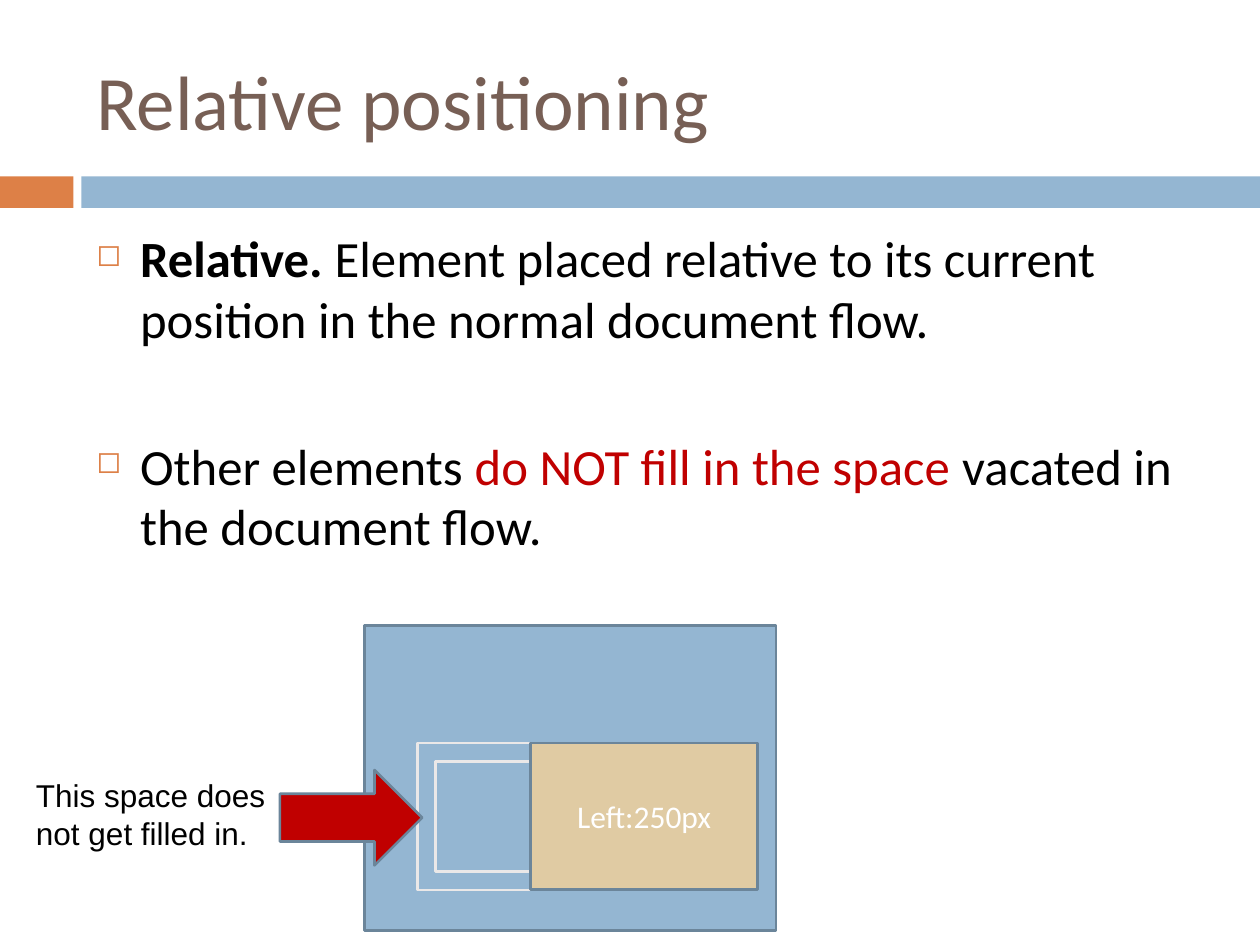
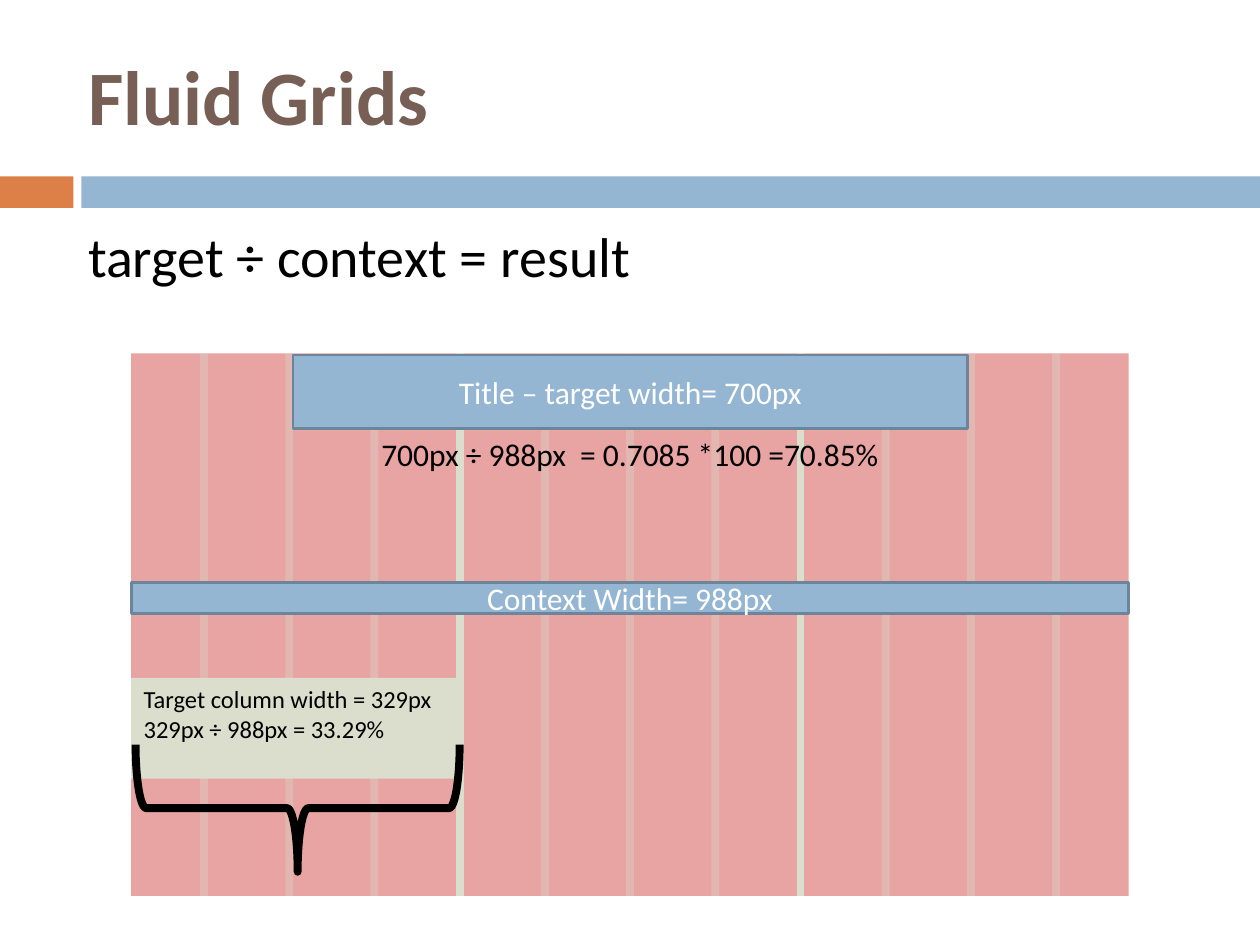
from pptx import Presentation
from pptx.dml.color import RGBColor
from pptx.enum.shapes import MSO_CONNECTOR, MSO_SHAPE
from pptx.enum.text import MSO_ANCHOR, PP_ALIGN
from pptx.oxml.ns import qn
from pptx.util import Pt
from lxml.etree import SubElement

COLORS = {
    "orange": "DD8047",
    "blue": "94B6D2",
    "outline": "6B859A",
    "title": "775F55",
    "text": "000000",
    "white": "FFFFFF",
    "red": "C00000",
    "tan": "E0CBA3",
    "ghost": "EAE8E8",
    "sage": "DBDDCD",
}
GRID_LEFT, GRID_TOP, GRID_WIDTH, GRID_HEIGHT = 75, 202, 570, 310
GUTTER_START, GUTTER_STEP, GUTTER_COUNT = 116.6, 48.69, 11
THIRD_GUTTERS = (3, 7)


def color(name):
    return RGBColor.from_string(COLORS[name])


def set_alpha(element, percent):
    for color_element in element.iter(qn("a:srgbClr")):
        SubElement(color_element, qn("a:alpha"), val=str(percent * 1000))


def set_font(font, size, name="text", face="Calibri", bold=False):
    font.name = face
    font.size = Pt(size)
    font.bold = bold
    font.color.rgb = color(name)


def write_lines(shape, lines, size, name="text", align=PP_ALIGN.LEFT,
                anchor=MSO_ANCHOR.TOP, **style):
    frame = shape.text_frame
    frame.word_wrap = True
    frame.vertical_anchor = anchor
    for index, line in enumerate(lines):
        paragraph = frame.paragraphs[0] if index == 0 else frame.add_paragraph()
        paragraph.text = line
        paragraph.alignment = align
        set_font(paragraph.font, size, name, **style)


def add_text(slide, box, lines, size, name="text", **style):
    shape = slide.shapes.add_textbox(*map(Pt, box))
    write_lines(shape, lines, size, name, **style)


def add_block(slide, kind, box, fill=None, line=None, width=1.5):
    shape = slide.shapes.add_shape(kind, *map(Pt, box))
    shape.shadow.inherit = False
    if fill:
        shape.fill.solid()
        shape.fill.fore_color.rgb = color(fill)
    else:
        shape.fill.background()
    if line:
        shape.line.color.rgb = color(line)
        shape.line.width = Pt(width)
    else:
        shape.line.fill.background()
    return shape


def add_label_block(slide, box, fill, label):
    shape = add_block(slide, MSO_SHAPE.RECTANGLE, box, fill, "outline")
    write_lines(shape, [label], 18, "white", PP_ALIGN.CENTER, MSO_ANCHOR.MIDDLE)


def add_gutter(slide, x, solid):
    connector = slide.shapes.add_connector(
        MSO_CONNECTOR.STRAIGHT, Pt(x), Pt(GRID_TOP), Pt(x), Pt(GRID_TOP + GRID_HEIGHT))
    connector.line.color.rgb = color("sage")
    connector.line.width = Pt(4.5)
    properties = connector._element.spPr
    SubElement(properties, qn("a:effectLst"))
    if not solid:
        set_alpha(properties, 35)


def add_bullets(slide, box, bullets, size, gap):
    frame = slide.shapes.add_textbox(*map(Pt, box)).text_frame
    frame.word_wrap = True
    for index, runs in enumerate(bullets):
        paragraph = frame.paragraphs[0] if index == 0 else frame.add_paragraph()
        properties = paragraph._p.get_or_add_pPr()
        properties.set("marL", str(Pt(25)))
        properties.set("indent", str(-Pt(25)))
        bullet_color = SubElement(properties, qn("a:buClr"))
        SubElement(bullet_color, qn("a:srgbClr"), val=COLORS["orange"])
        SubElement(properties, qn("a:buSzPct"), val="60000")
        SubElement(properties, qn("a:buChar"), char="◻")
        if index:
            paragraph.space_before = Pt(gap)
        for text, name, bold in runs:
            run = paragraph.add_run()
            run.text = text
            set_font(run.font, size, name, bold=bold)


def add_titled_slide(presentation, title, box, bold=False):
    slide = presentation.slides.add_slide(presentation.slide_layouts[6])
    add_block(slide, MSO_SHAPE.RECTANGLE, (0, 100.8, 42, 18), "orange")
    add_block(slide, MSO_SHAPE.RECTANGLE, (46.5, 100.8, 673.5, 18), "blue")
    add_text(slide, box, [title], 44, "title", anchor=MSO_ANCHOR.MIDDLE, bold=bold)
    return slide


def build_relative_positioning(presentation):
    slide = add_titled_slide(presentation, "Relative positioning", (48, 18, 642, 78))
    add_bullets(slide, (48, 126, 642, 354), [
        [("Relative. ", "text", True),
         ("Element placed relative to its current position in the normal document flow.",
          "text", False)],
        [("Other elements ", "text", False),
         ("do NOT fill in the space", "red", False),
         (" vacated in the document flow.", "text", False)],
    ], size=29, gap=49)
    add_block(slide, MSO_SHAPE.RECTANGLE, (208.5, 357.3, 235, 174.5), "blue", "outline")
    add_block(slide, MSO_SHAPE.FRAME, (238.5, 424.5, 106, 84), "blue", "ghost")
    add_label_block(slide, (303.2, 424.5, 129.8, 84), "tan", "Left:250px")
    add_block(slide, MSO_SHAPE.RIGHT_ARROW, (160, 440, 81.3, 54.5), "red", "outline")
    add_text(slide, (13.5, 440, 168.5, 50.4), ["This space does not get filled in."],
             18, face="Arial")


def build_fluid_grids(presentation):
    slide = add_titled_slide(presentation, "Fluid Grids", (43.2, 9, 646, 90), bold=True)
    context = add_block(slide, MSO_SHAPE.RECTANGLE,
                        (GRID_LEFT, GRID_TOP, GRID_WIDTH, GRID_HEIGHT), "red")
    set_alpha(context._element.spPr, 36)
    for index in range(GUTTER_COUNT):
        add_gutter(slide, GUTTER_START + index * GUTTER_STEP, index in THIRD_GUTTERS)
    column = add_block(slide, MSO_SHAPE.RECTANGLE, (GRID_LEFT, 387.4, 188, 57.6), "sage")
    write_lines(column, ["Target column width = 329px", "329px ÷ 988px = 33.29%"], 14)
    add_text(slide, (43.2, 123, 375, 46), ["target ÷ context = result"], 32)
    add_label_block(slide, (167.5, 203, 385.5, 42), "blue", "Title – target width= 700px")
    add_text(slide, (182, 245, 356, 29), ["700px ÷ 988px  = 0.7085 *100 =70.85%"],
             18, align=PP_ALIGN.CENTER)
    brace = add_block(slide, MSO_SHAPE.RIGHT_BRACE, (133.7, 369.2, 72.7, 185.2),
                      line="text", width=4.5)
    brace.rotation = 90
    add_label_block(slide, (GRID_LEFT, 332.7, GRID_WIDTH, 18), "blue", "Context Width= 988px")


def main():
    presentation = Presentation()
    presentation.slide_width = Pt(720)
    presentation.slide_height = Pt(540)
    build_relative_positioning(presentation)
    build_fluid_grids(presentation)
    presentation.save("out.pptx")


if __name__ == "__main__":
    main()
